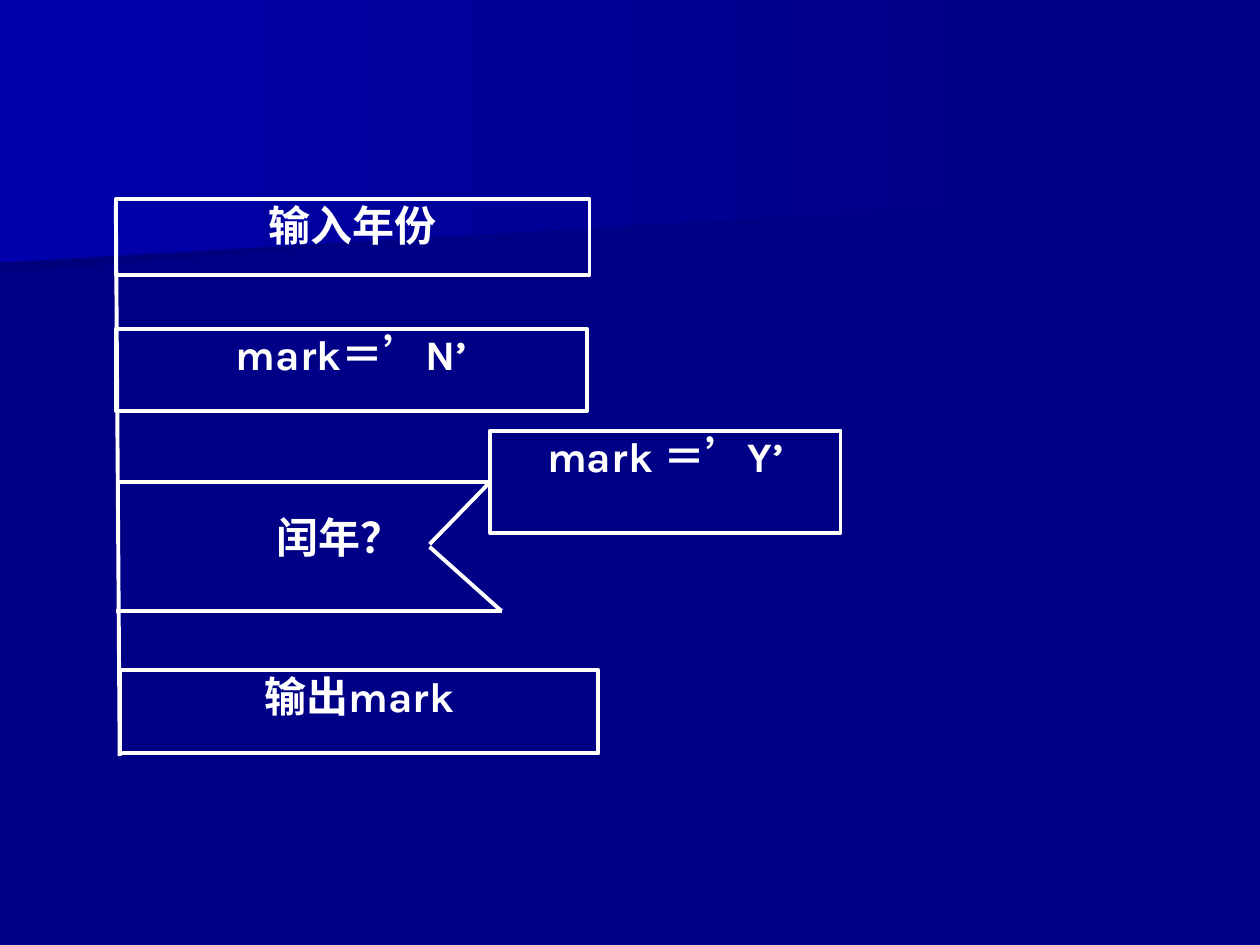
from lxml import etree
from pptx import Presentation
from pptx.dml.color import RGBColor
from pptx.enum.shapes import MSO_CONNECTOR, MSO_SHAPE
from pptx.enum.text import MSO_ANCHOR, PP_ALIGN
from pptx.oxml.ns import qn
from pptx.util import Pt

NAVY = RGBColor(0x00, 0x00, 0x86)
DARK_NAVY = RGBColor(0x00, 0x00, 0x7D)
BRIGHT_BLUE = RGBColor(0x00, 0x00, 0xAC)
WHITE = RGBColor(0xFF, 0xFF, 0xFF)


def write_label(shape, text):
    frame = shape.text_frame
    frame.word_wrap = True
    frame.vertical_anchor = MSO_ANCHOR.TOP
    frame.margin_left = frame.margin_right = 0
    frame.margin_top = frame.margin_bottom = 0
    para = frame.paragraphs[0]
    para.text = text
    para.alignment = PP_ALIGN.CENTER
    para.font.name = "Karla"
    para.font.size = Pt(24)
    para.font.bold = True
    para.font.color.rgb = WHITE


def draw_line(x1, y1, x2, y2):
    line = page.shapes.add_connector(
        MSO_CONNECTOR.STRAIGHT, Pt(x1), Pt(y1), Pt(x2), Pt(y2))
    line.line.color.rgb = WHITE
    line.line.width = Pt(2.25)
    etree.SubElement(line._element.spPr, qn("a:effectLst"))
    return line


deck = Presentation()
deck.slide_width, deck.slide_height = Pt(720), Pt(540)
page = deck.slides.add_slide(deck.slide_layouts[6])
page.background.fill.solid()
page.background.fill.fore_color.rgb = NAVY

bands = [
    ([(560.2, 110.2), (0, 156.2), (0, 72.7), (560.9, 72.7), (560.2, 92.2)], DARK_NAVY),
    ([(570.2, 116.6), (0, 149.8), (0, 0), (570.2, 0)], BRIGHT_BLUE),
]
for points, end_color in bands:
    builder = page.shapes.build_freeform(
        Pt(points[0][0]), Pt(points[0][1]), scale=1.0)
    builder.add_line_segments([(Pt(x), Pt(y)) for x, y in points[1:]], close=True)
    band = builder.convert_to_shape()
    band.shadow.inherit = False
    band.line.fill.background()
    band.fill.gradient()
    band.fill.gradient_angle = 180
    for stop, color, position in zip(band.fill.gradient_stops, (NAVY, end_color), (0, 1)):
        stop.color.rgb = color
        stop.position = position

draw_line(66.2, 117.4, 68.4, 432)

steps = [
    ("mark ＝’Y’", 280.1, 246.2, 200.2, 58.4),
    ("输出mark", 68.4, 383, 273.6, 47.5),
    ("mark＝’N’", 66.2, 187.9, 269.3, 46.8),
    ("输入年份", 66.2, 113.8, 270.7, 43.2),
]
boxes = {}
for text, left, top, width, height in steps:
    box = page.shapes.add_shape(
        MSO_SHAPE.RECTANGLE, Pt(left), Pt(top), Pt(width), Pt(height))
    box.shadow.inherit = False
    box.fill.background()
    box.line.color.rgb = WHITE
    box.line.width = Pt(2.25)
    write_label(box, text)
    boxes[text] = box

question = page.shapes.add_textbox(Pt(81.4), Pt(292.3), Pt(225.4), Pt(43.2))
write_label(question, "闰年？")

yes_box = boxes["mark ＝’Y’"]
draw_line(66.2, 275.4, 280.1, 275.4).end_connect(yes_box, 1)
draw_line(280.1, 275.4, 245.5, 311).begin_connect(yes_box, 1)
draw_line(66.2, 349.2, 286.6, 349.2)
draw_line(286.6, 349.2, 245.5, 312.5)

deck.save("out.pptx")
